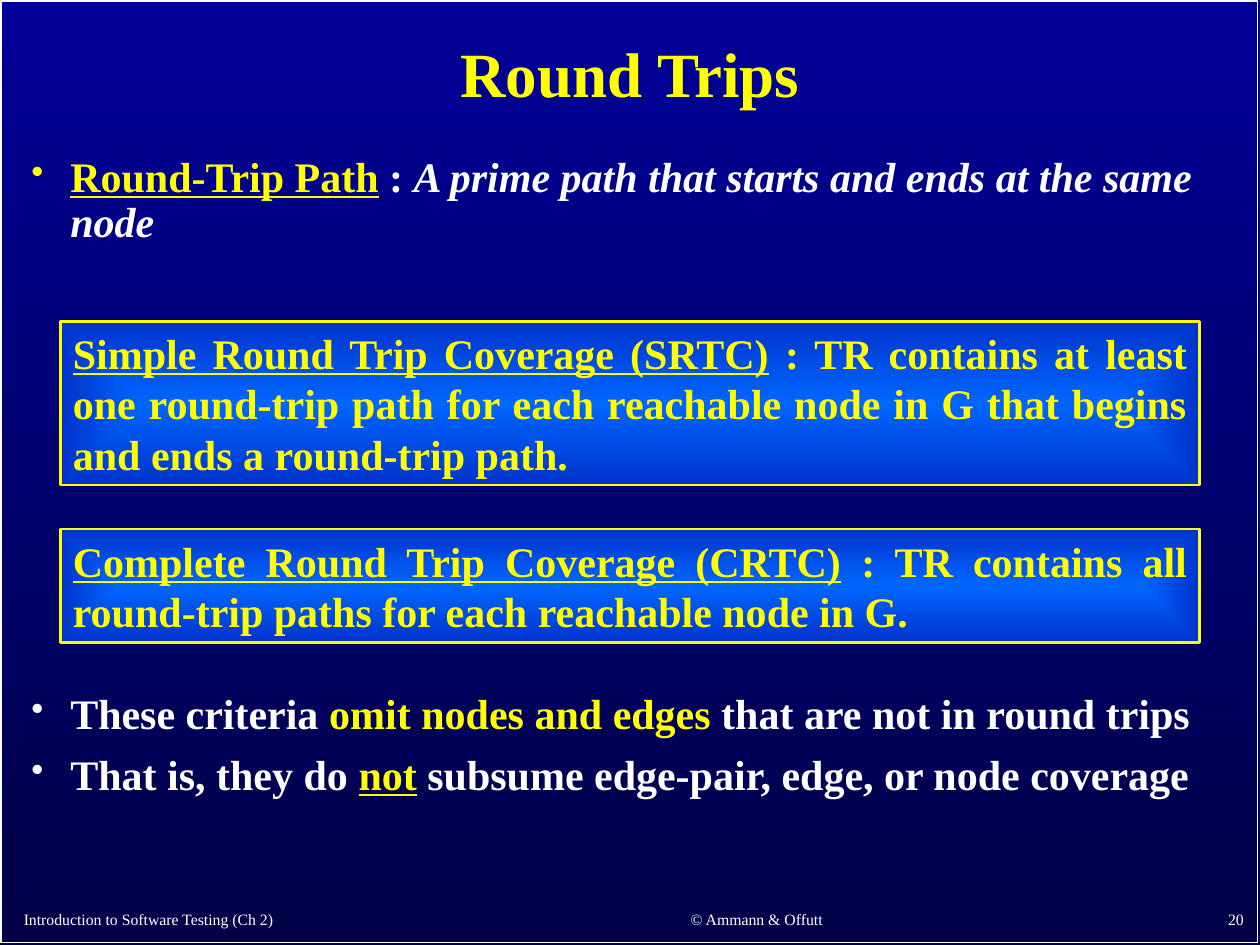
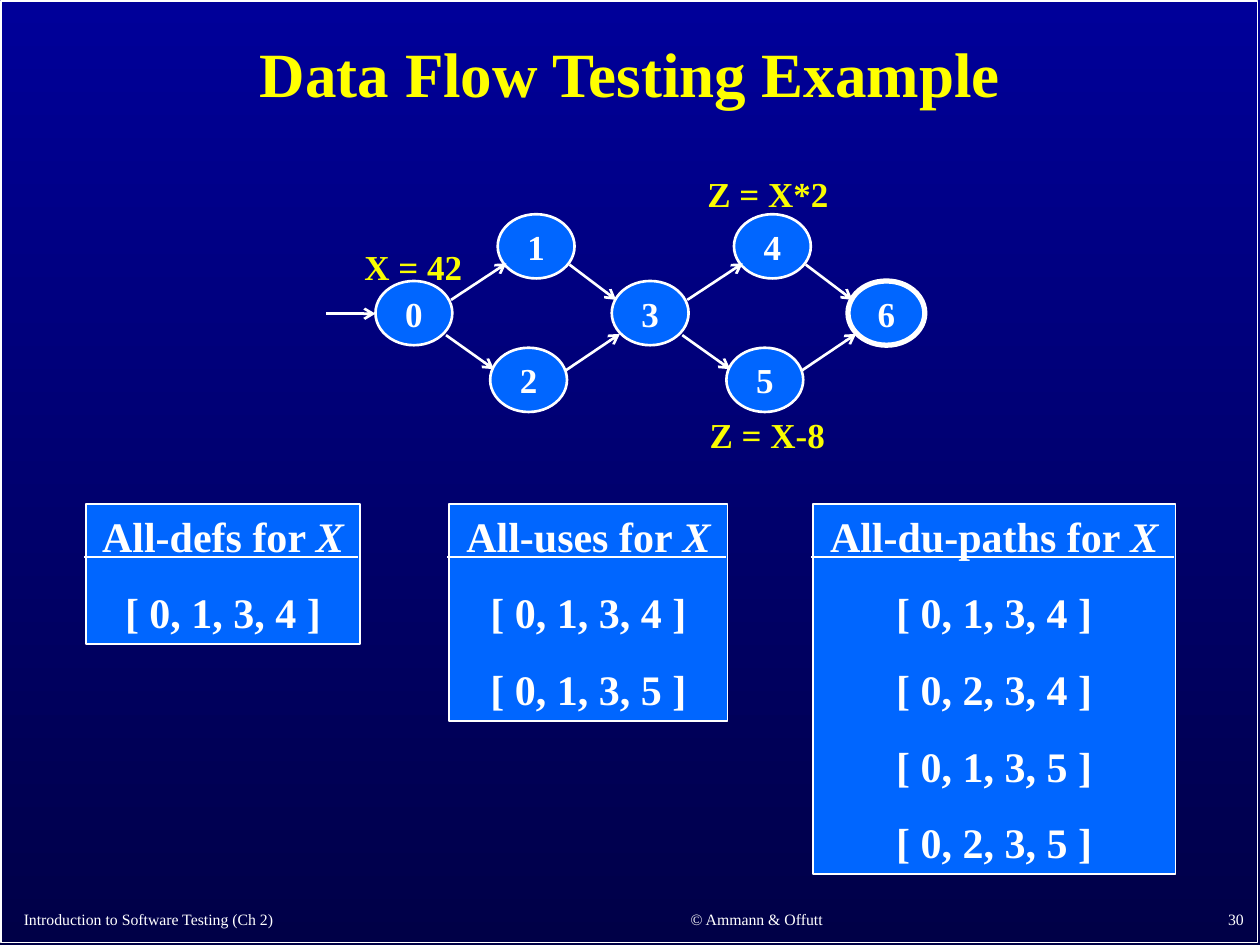
"""Build two slides on round trips and data flow testing."""
from typing import NamedTuple, Optional, Sequence

from lxml.etree import SubElement as Sub
from pptx import Presentation
from pptx.dml.color import RGBColor
from pptx.enum.shapes import MSO_CONNECTOR as Link, MSO_SHAPE as Form
from pptx.enum.text import MSO_ANCHOR as Anchor, PP_ALIGN as Align
from pptx.oxml.ns import qn
from pptx.util import Inches, Pt

WHITE = RGBColor(0xFF, 0xFF, 0xFF)
YELLOW = RGBColor(0xFF, 0xFF, 0x00)
LEMON = RGBColor(0xFA, 0xFD, 0x00)
BLUE = RGBColor(0x00, 0x66, 0xFF)
ROYAL = RGBColor(0x00, 0x33, 0xCC)
NAVY = RGBColor(0x00, 0x00, 0x99)
NIGHT = RGBColor(0x00, 0x00, 0x47)
FONT = "Times New Roman"
WIDE, HIGH = Inches(10), Inches(7.5)
COL, ROW = WIDE / 100, HIGH / 75


class Box(NamedTuple):
    """A place on the grid, in columns and rows."""
    x: float
    y: float
    w: float
    h: float


class Bit(NamedTuple):
    """A run of text with its own look."""
    text: str
    color: RGBColor = WHITE
    under: bool = False
    italic: bool = False


class Look(NamedTuple):
    """How the text of one frame is set."""
    size: float = 24
    bold: bool = True
    align: Align = Align.LEFT
    anchor: Anchor = Anchor.TOP
    lead: float = 1.0
    gap: float = 0
    bullet: bool = False


class Node(NamedTuple):
    """A numbered graph node by its left top corner."""
    name: str
    x: float
    y: float
    line: float = 1.5


class Edge(NamedTuple):
    """An arrow from one grid point to another."""
    x1: float
    y1: float
    x2: float
    y2: float


class Card(NamedTuple):
    """A list of test paths under a heading."""
    head: str
    width: float
    paths: Sequence[str]


Lines = Sequence[Sequence[Bit]]
TITLE = Look(36, align=Align.CENTER, anchor=Anchor.MIDDLE, lead=0.9)
BODY = Look(lead=0.9, gap=9, bullet=True)
RULE = Look(align=Align.JUSTIFY)
LABEL = Look(20, align=Align.CENTER)
NODE = Look(20, align=Align.CENTER, anchor=Anchor.MIDDLE)
LIST = Look(align=Align.CENTER, gap=15)

INTRO = [[Bit("Round-Trip Path", YELLOW, under=True), Bit(" : "),
          Bit("A prime path that starts and ends at the same node", italic=True)]]
RULES = [
    (Box(4.8, 25.5, 90.4, 13), "Simple Round Trip Coverage (SRTC)",
     " : TR contains at least one round-trip path for each reachable node "
     "in G that begins and ends a round-trip path."),
    (Box(4.8, 42, 90.4, 9), "Complete Round Trip Coverage (CRTC)",
     " : TR contains all round-trip paths for each reachable node in G."),
]
NOTES = [
    [Bit("These criteria "), Bit("omit nodes and edges", YELLOW),
     Bit(" that are not in round trips")],
    [Bit("That is, they do "), Bit("not", YELLOW, under=True),
     Bit(" subsume edge-pair, edge, or node coverage")],
]

SHIFT = 18.75
LOOP = [Node("0", 29.8, 22.3), Node("1", 39.5, 17), Node("2", 38.9, 27.6)]
NODES = LOOP + [Node(str(int(n.name) + 3), n.x + SHIFT, n.y) for n in LOOP]
NODES.append(Node("6", 29.8 + 2 * SHIFT, 22.3, 3))
FORK = [Edge(35.8, 23.8, 40.2, 20.9), Edge(35.4, 26.6, 39.2, 29.3),
        Edge(45.2, 21, 48.9, 23.8), Edge(44.9, 29.4, 49.2, 26.5)]
EDGES = [Edge(25.9, 24.9, 29.8, 24.9)] + [
    Edge(e.x1 + d, e.y1, e.x2 + d, e.y2) for d in (0, SHIFT) for e in FORK]
LABELS = [(Box(27.2, 19, 11.2, 4.4), "X = 42"),
          (Box(55.3, 32.3, 11.2, 4.4), "Z = X-8"),
          (Box(54.4, 13.2, 13.1, 4.4), "Z = X*2")]

PITCH, STEP = 28.85, 6.1
CARDS = [
    Card("All-defs for ", 21.8, ["[ 0, 1, 3, 4 ]"]),
    Card("All-uses for ", 22.1, ["[ 0, 1, 3, 4 ]", "[ 0, 1, 3, 5 ]"]),
    Card("All-du-paths for ", 28.8, ["[ 0, 1, 3, 4 ]", "[ 0, 2, 3, 4 ]",
                                     "[ 0, 1, 3, 5 ]", "[ 0, 2, 3, 5 ]"]),
]


def place(box: Box) -> tuple:
    """Turn a grid box into lengths."""
    return (round(box.x * COL), round(box.y * ROW),
            round(box.w * COL), round(box.h * ROW))


def dot(para, color: RGBColor) -> None:
    """Give a paragraph a hanging bullet."""
    props = para._p.get_or_add_pPr()
    props.set("marL", str(Inches(0.31)))
    props.set("indent", str(-Inches(0.31)))
    Sub(Sub(props, qn("a:buClr")), qn("a:srgbClr")).set("val", str(color))
    Sub(props, qn("a:buSzPct")).set("val", "85000")
    Sub(props, qn("a:buChar")).set("char", "•")


def write(shape, lines: Lines, look: Look, pad: float = 0.1) -> None:
    """Fill a shape with formatted paragraphs."""
    frame = shape.text_frame
    frame.word_wrap = True
    frame.vertical_anchor = look.anchor
    frame.margin_left = frame.margin_right = Inches(pad)
    frame.margin_top = frame.margin_bottom = Inches(pad / 2)
    frame.text = "\n".join(bits[0].text for bits in lines)
    for i, (para, bits) in enumerate(zip(frame.paragraphs, lines)):
        para.alignment = look.align
        para.line_spacing = look.lead
        para.space_before = Pt(look.gap if i else 0)
        if look.bullet:
            dot(para, bits[0].color)
        for bit in bits[1:]:
            para.add_run().text = bit.text
        for run, bit in zip(para.runs, bits):
            font = run.font
            font.name, font.size, font.bold = FONT, Pt(look.size), look.bold
            font.color.rgb = bit.color
            font.underline, font.italic = bit.under, bit.italic


def label(slide, box: Box, lines: Lines, look: Look) -> None:
    """Add a text box."""
    write(slide.shapes.add_textbox(*place(box)), lines, look)


def shade(fill, start: RGBColor, end: RGBColor) -> None:
    """Set a gradient that runs from top to bottom."""
    fill.gradient()
    fill.gradient_angle = 270
    for stop, color in zip(fill.gradient_stops, (start, end)):
        stop.color.rgb = color


def panel(slide, form: Form, box: Box, line: RGBColor, width: float,
          fill: Optional[RGBColor] = None):
    """Add an outlined shape, filled or hollow."""
    shape = slide.shapes.add_shape(form, *place(box))
    shape.shadow.inherit = False
    shape.line.color.rgb = line
    shape.line.width = Pt(width)
    if fill is None:
        shape.fill.background()
    else:
        shape.fill.solid()
        shape.fill.fore_color.rgb = fill
    return shape


def glow(shape) -> None:
    """Fill a shape with a gradient from its centre."""
    shade(shape.fill, BLUE, ROYAL)
    grad = shape.element.spPr.find(qn("a:gradFill"))
    grad.remove(grad.find(qn("a:lin")))
    way = Sub(grad, qn("a:path"))
    way.set("path", "rect")
    rect = Sub(way, qn("a:fillToRect"))
    for side in "ltrb":
        rect.set(side, "50000")


def stroke(slide, edge: Edge, arrow: bool = False) -> None:
    """Draw a white line, with an arrowhead if asked."""
    link = slide.shapes.add_connector(
        Link.STRAIGHT, round(edge.x1 * COL), round(edge.y1 * ROW),
        round(edge.x2 * COL), round(edge.y2 * ROW))
    link.line.color.rgb = WHITE
    link.line.width = Pt(1.5)
    props = link.element.spPr
    if arrow:
        Sub(props.find(qn("a:ln")), qn("a:tailEnd")).set("type", "arrow")
    Sub(props, qn("a:effectLst"))


def start(deck, title: str, page: int):
    """Add a slide with the shared ground, frame, title and footers."""
    slide = deck.slides.add_slide(deck.slide_layouts[6])
    shade(slide.background.fill, NAVY, NIGHT)
    panel(slide, Form.RECTANGLE, Box(0.1, 0.1, 99.7, 74.7), WHITE, 1)
    feet = [
        (Box(0.9, 71.2, 41.2, 3), "Introduction to Software Testing (Ch 2)", Align.LEFT),
        (Box(44.2, 71.1, 31.7, 3.1), "© Ammann & Offutt", Align.CENTER),
        (Box(78.9, 71, 20.8, 3.2), str(page), Align.RIGHT),
    ]
    for box, text, align in feet:
        label(slide, box, [[Bit(text)]], Look(9, False, align, Anchor.BOTTOM))
    label(slide, Box(7.5, 1.1, 85, 10), [[Bit(title, YELLOW)]], TITLE)
    return slide


def trips(deck) -> None:
    """Build the slide on round trips."""
    slide = start(deck, "Round Trips", 20)
    label(slide, Box(1.5, 11.9, 97, 10.2), INTRO, BODY)
    for box, term, text in RULES:
        shape = panel(slide, Form.RECTANGLE, box, YELLOW, 1.5)
        glow(shape)
        write(shape, [[Bit(term, YELLOW, under=True), Bit(text, YELLOW)]], RULE)
    label(slide, Box(1.5, 54.5, 97, 10.2), NOTES, BODY)


def flow(deck) -> None:
    """Build the slide with the graph and its path lists."""
    slide = start(deck, "Data Flow Testing Example", 30)
    for node in NODES:
        oval = panel(slide, Form.OVAL, Box(node.x, node.y, 6.1, 5.1),
                     WHITE, node.line, BLUE)
        write(oval, [[Bit(node.name)]], NODE, 0)
    for edge in EDGES:
        stroke(slide, edge, arrow=True)
    for box, text in LABELS:
        label(slide, box, [[Bit(text, LEMON)]], LABEL)
    for i, card in enumerate(CARDS):
        left = 6.8 + i * PITCH
        box = Box(left, 40, card.width, 5 + STEP * len(card.paths))
        shape = panel(slide, Form.RECTANGLE, box, WHITE, 1, BLUE)
        head = [Bit(card.head), Bit("X", italic=True)]
        write(shape, [head] + [[Bit(text)] for text in card.paths], LIST)
        stroke(slide, Edge(left - 0.15, 44.2, left - 0.15 + card.width, 44.2))


def main() -> None:
    """Build and save the deck."""
    deck = Presentation()
    deck.slide_width, deck.slide_height = WIDE, HIGH
    trips(deck)
    flow(deck)
    deck.save("out.pptx")


if __name__ == "__main__":
    main()
